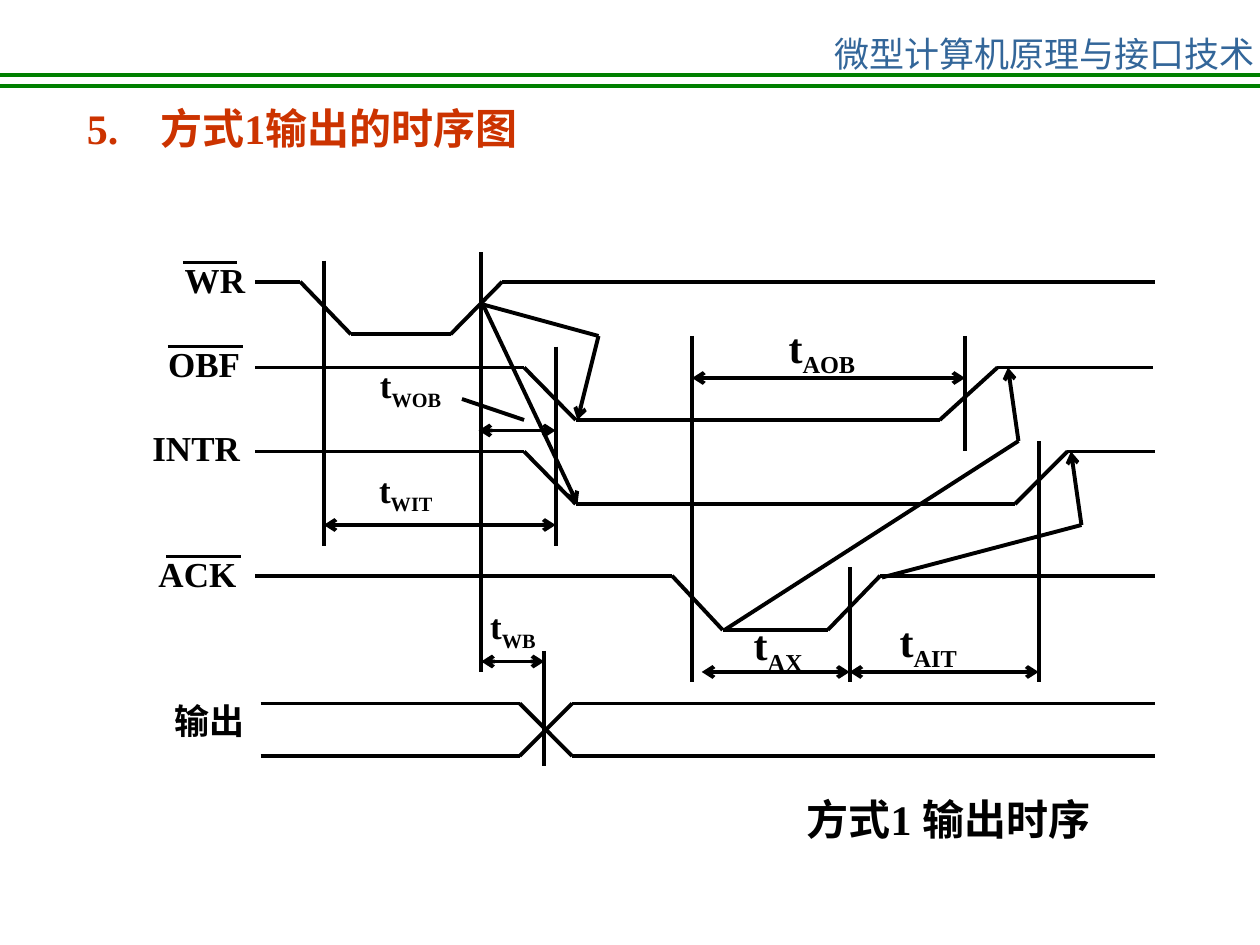
from dataclasses import dataclass
from itertools import pairwise

from lxml import etree
from pptx import Presentation
from pptx.dml.color import RGBColor
from pptx.enum.shapes import MSO_CONNECTOR
from pptx.enum.text import MSO_ANCHOR, MSO_AUTO_SIZE, PP_ALIGN
from pptx.oxml.ns import qn
from pptx.util import Pt

BLACK = RGBColor(0x00, 0x00, 0x00)
GREEN = RGBColor(0x00, 0x80, 0x00)
RED = RGBColor(0xCC, 0x33, 0x00)
BLUE = RGBColor(0x33, 0x66, 0x99)
LATIN, HAN = "Times New Roman", "Noto Sans CJK SC"
LEFT, CENTER = PP_ALIGN.LEFT, PP_ALIGN.CENTER
STRAIGHT = MSO_CONNECTOR.STRAIGHT
TOP, FIXED = MSO_ANCHOR.TOP, MSO_AUTO_SIZE.NONE

Point = tuple[float, float]


@dataclass
class Trace:
    """A chain of straight lines; heads is '', 'end' or 'both'."""
    points: list[Point]
    heads: str = ""


@dataclass
class Label:
    text: str
    x: float
    y: float
    w: float = 105
    h: float = 32
    sub: str = ""
    size: float = 20
    align: PP_ALIGN = LEFT


def rule(x: float, low: float, high: float) -> Trace:
    return Trace([(x, low), (x, high)])


def level(y: float, start: float, end: float, heads: str = "") -> Trace:
    return Trace([(start, y), (end, y)], heads)


# Signals, from top to bottom
SIGNALS = [
    Trace([(146, 161), (171.5, 161), (200.5, 191), (257.5, 191), (287, 161), (660, 161)]),
    Trace([(146, 210), (299.5, 210), (329, 240), (537, 240), (570, 210), (659, 210)]),
    Trace([(146, 258), (299.5, 258), (329, 288), (580, 288), (610, 258), (660, 258)]),
    Trace([(146, 329), (384, 329), (413, 360), (473, 360), (503, 329), (660, 329)]),
    Trace([(149, 402), (297, 402), (327, 432), (660, 432)]),
    Trace([(149, 432), (297, 432), (327, 402), (660, 402)]),
]
BARS = [level(150, 104.5, 135.5), level(198, 96, 139), level(318, 95, 137.5)]
GUIDES = [
    rule(185, 149, 312), rule(275, 144, 384), rule(317.5, 198, 312),
    rule(311, 372, 438), rule(395.5, 192, 390), rule(485.5, 324, 390),
    rule(551.5, 192, 258), rule(593.5, 252, 390),
]
SPANS = [
    level(246, 273.5, 317.5, "both"), level(300, 185, 317.5, "both"),
    level(378, 275, 311, "both"), level(216, 395.5, 551.5, "both"),
    level(384, 401, 485.5, "both"), level(384, 485.5, 593.5, "both"),
]
# Which edge causes which, and the leader of the first delay
CAUSES = [
    Trace([(276, 174), (342, 192), (330, 240)], "end"),
    Trace([(276, 174), (330, 288)], "end"),
    Trace([(414, 360), (582, 252), (576, 210)], "end"),
    Trace([(504, 330), (618, 300), (612, 258)], "end"),
    Trace([(264, 228), (299.5, 240)]),
]
NAMES = [
    Label("WR", 98.5, 144), Label("OBF", 89, 192), Label("INTR", 80, 240, 130),
    Label("ACK", 83.5, 312, 81), Label("输出", 66, 396, 107, align=CENTER),
]
DELAYS = [
    Label("t", 210, 204, 74, 35, "WOB"), Label("t", 209.5, 264, 74, 35, "WIT"),
    Label("t", 273, 342, 74, 35, "WB"), Label("t", 443.5, 180, 74, 40, "AOB", 24),
    Label("t", 423.5, 350, 74, 40, "AX", 24), Label("t", 507, 348, 74, 40, "AIT", 24),
]


def write(shape, text: str, *, sub: str = "", size: float = 20, color: RGBColor = BLACK,
          bold: bool = True, font: str = LATIN, align: PP_ALIGN = LEFT,
          wrap: bool = True, tab: float = 0) -> None:
    frame = shape.text_frame
    frame.word_wrap, frame.auto_size, frame.vertical_anchor = wrap, FIXED, TOP
    para = frame.paragraphs[0]
    para.alignment = align
    if tab:
        stops = etree.SubElement(para._p.get_or_add_pPr(), qn("a:tabLst"))
        etree.SubElement(stops, qn("a:tab"), pos=str(Pt(tab)), algn="l")
    for part in filter(None, (text, sub)):
        run = para.add_run()
        run.text = part
        run.font.size, run.font.bold, run.font.name = Pt(size), bold, font
        run.font.color.rgb = color
        props = run._r.get_or_add_rPr()
        etree.SubElement(props, qn("a:ea"), typeface=HAN)
        if part == sub:
            props.set("baseline", "-25000")


def add_box(slide, x: float, y: float, w: float, h: float):
    return slide.shapes.add_textbox(Pt(x), Pt(y), Pt(w), Pt(h))


def add_label(slide, item: Label) -> None:
    box = add_box(slide, item.x, item.y, item.w, item.h)
    write(box, item.text, sub=item.sub, size=item.size, align=item.align)


def add_line(slide, start: Point, end: Point, color: RGBColor = BLACK,
             width: float = 2.25, ends: tuple[str, ...] = ()) -> None:
    line = slide.shapes.add_connector(STRAIGHT, *(Pt(v) for v in start + end))
    line.line.color.rgb = color
    line.line.width = Pt(width)
    for tag in ends:
        etree.SubElement(line.line._ln, qn(tag), type="arrow")
    etree.SubElement(line._element.spPr, qn("a:effectLst"))


def add_trace(slide, trace: Trace) -> None:
    pairs = list(pairwise(trace.points))
    for start, end in pairs:
        ends = ()
        if trace.heads == "both":
            ends = ("a:headEnd", "a:tailEnd")
        elif trace.heads == "end" and (start, end) == pairs[-1]:
            ends = ("a:tailEnd",)
        add_line(slide, start, end, ends=ends)


def main() -> None:
    deck = Presentation()
    deck.slide_width, deck.slide_height = Pt(720), Pt(540)
    slide = deck.slides.add_slide(deck.slide_layouts[5])

    # Header band
    for y, x in ((49, 42.5), (43, 41)):
        add_line(slide, (x, y), (720, y), GREEN, 0.75)
        add_line(slide, (0, y), (720, y), GREEN)
    write(add_box(slide, 496, 15, 202, 17), "微型计算机原理与接口技术",
          color=BLUE, bold=False, font=HAN, align=CENTER, wrap=False)

    # Title and caption
    title = slide.shapes.title
    title.left, title.top, title.width, title.height = Pt(42.5), Pt(55), Pt(624), Pt(36)
    write(title, "5.\t方式1输出的时序图", size=24, color=RED, tab=42)
    add_label(slide, Label("方式1 输出时序", 437, 450, 210, 36, size=24, align=CENTER))

    # Timing diagram
    for trace in SIGNALS + BARS + GUIDES + SPANS + CAUSES:
        add_trace(slide, trace)
    for item in NAMES + DELAYS:
        add_label(slide, item)

    deck.save("out.pptx")


if __name__ == "__main__":
    main()
